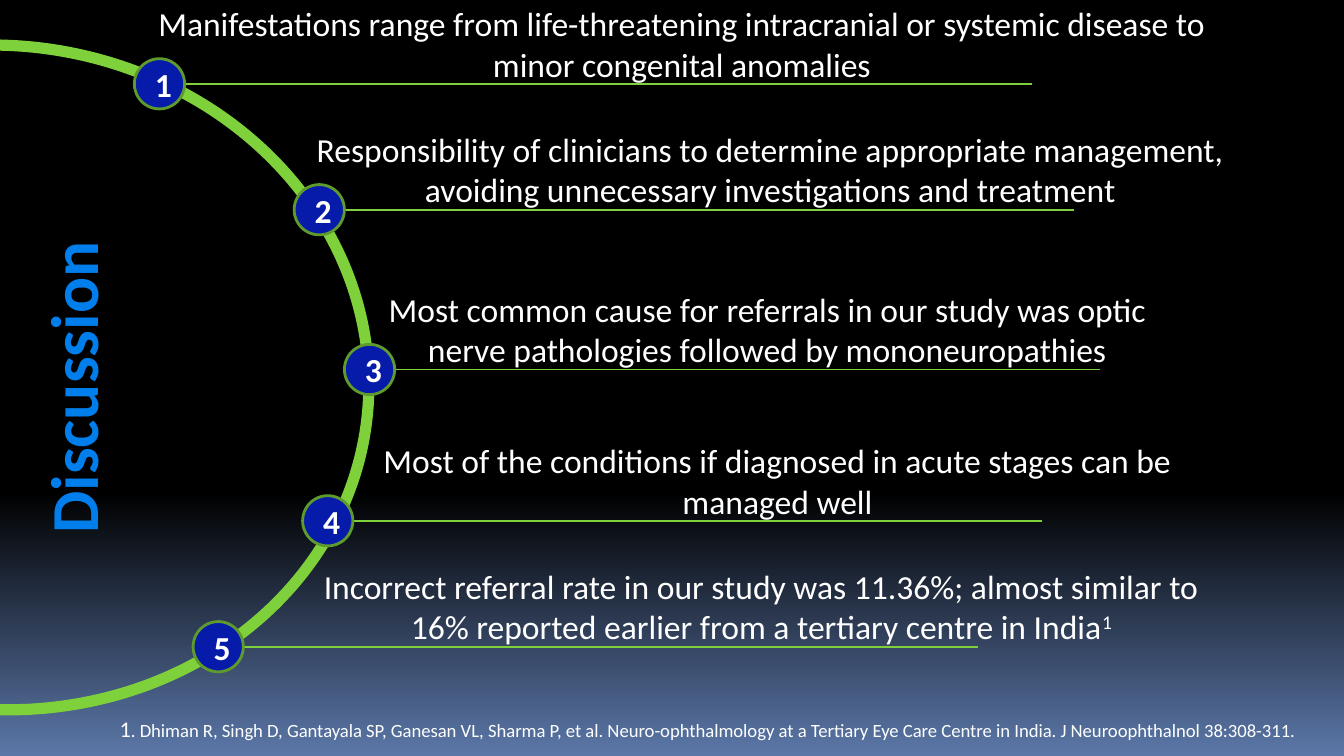
from lxml import etree
from pptx import Presentation
from pptx.dml.color import RGBColor
from pptx.enum.shapes import MSO_CONNECTOR, MSO_SHAPE
from pptx.enum.text import MSO_ANCHOR, PP_ALIGN
from pptx.oxml.ns import qn
from pptx.util import Cm, Pt

LEFT, CENTER = PP_ALIGN.LEFT, PP_ALIGN.CENTER
MIDDLE = MSO_ANCHOR.MIDDLE
ARC, OVAL = MSO_SHAPE.ARC, MSO_SHAPE.OVAL
STRAIGHT = MSO_CONNECTOR.STRAIGHT

FONT = "Calibri"
WHITE, GREEN, DARK_GREEN = "FFFFFF", "7FD13B", "5E9B2C"
BADGE_BLUE, TITLE_BLUE = "071BAB", "007EEB"

# Content: badge left and top, line end, text left and width (cm), text, superscript
POINTS = [
    (2.54, 1.11, 19.5, 2.69, 20.4,
     "Manifestations range from life-threatening intracranial or systemic "
     "disease to minor congenital anomalies", ""),
    (5.56, 3.49, 20.29, 5.11, 18.9,
     "Responsibility of clinicians to determine appropriate management, "
     "avoiding unnecessary investigations and treatment", ""),
    (6.51, 6.51, 20.79, 6.3, 16.41,
     "Most common cause for referrals in our study was optic nerve "
     "pathologies followed by mononeuropathies", ""),
    (5.72, 9.37, 19.7, 6.3, 16.79,
     "Most of the conditions if diagnosed in acute stages can be managed well", ""),
    (3.65, 11.75, 18.49, 5.69, 17.4,
     "Incorrect referral rate in our study was 11.36%; almost similar to 16% "
     "reported earlier from a tertiary centre in India", "1"),
]
REFERENCE = (". Dhiman R, Singh D, Gantayala SP, Ganesan VL, Sharma P, et al. "
             "Neuro-ophthalmology at a Tertiary Eye Care Centre in India. "
             "J Neuroophthalnol 38:308-311.")
BADGE = 0.95
TEXT_RISE = 1.65  # from the line up to the top of its text box
TEXT_HEIGHT = 1.8


def rgb(color):
    return RGBColor.from_string(color)


def add_run(p, text, size=18, color=WHITE, bold=False, superscript=False):
    r = p.add_run()
    r.text = text
    r.font.name, r.font.size, r.font.bold = FONT, Pt(size), bold
    r.font.color.rgb = rgb(color)
    if superscript:
        r.font._element.set("baseline", "30000")


def add_text(left, top, width, height, text, align=LEFT, wrap=True, **fmt):
    sp = s.shapes.add_textbox(Cm(left), Cm(top), Cm(width), Cm(height))
    tf = sp.text_frame
    tf.word_wrap = wrap
    p = tf.paragraphs[0]
    p.alignment = align
    add_run(p, text, **fmt)
    return tf


def add_outlined(kind, left, top, width, height, line, weight):
    sp = s.shapes.add_shape(kind, Cm(left), Cm(top), Cm(width), Cm(height))
    sp.shadow.inherit = False
    sp.line.color.rgb = rgb(line)
    sp.line.width = Pt(weight)
    return sp


def add_line(x1, x2, y):
    line = s.shapes.add_connector(STRAIGHT, Cm(x1), Cm(y), Cm(x2), Cm(y))
    line.line.color.rgb = rgb(GREEN)
    line.line.width = Pt(0.94)
    etree.SubElement(line._element.spPr, qn("a:effectLst"))


prs = Presentation()
prs.slide_width, prs.slide_height = Cm(25.4), Cm(14.29)
s = prs.slides.add_slide(prs.slide_layouts[6])

# Background: black, fading to blue at the bottom
fill = s.background.fill
fill.gradient()
fill.gradient_angle = 270
for stop, (position, color) in zip(fill.gradient_stops, [(0.65, "000000"), (1, "5B77A8")]):
    stop.position = position
    stop.color.rgb = rgb(color)

# Arc
arc = add_outlined(ARC, -6.99, 0.86, 13.97, 12.55, GREEN, 6)
arc.fill.background()
arc.rotation = 6
arc.adjustments[0], arc.adjustments[1] = 158.017, 50.595

# Numbered points
for number, (x, y, line_end, left, width, text, note) in enumerate(POINTS, 1):
    line_y = y + BADGE / 2
    add_line(x + BADGE, line_end, line_y)
    badge = add_outlined(OVAL, x, y, BADGE, BADGE, DARK_GREEN, 1.5)
    badge.fill.solid()
    badge.fill.fore_color.rgb = rgb(BADGE_BLUE)
    tf = badge.text_frame
    tf.vertical_anchor = MIDDLE
    tf.paragraphs[0].alignment = CENTER
    add_run(tf.paragraphs[0], str(number), bold=True)
    tf = add_text(left, line_y - TEXT_RISE, width, TEXT_HEIGHT, text, align=CENTER)
    if note:
        add_run(tf.paragraphs[0], note, superscript=True)

# Reference
tf = add_text(2.01, 13.39, 23.7, 0.76, "1", size=12)
add_run(tf.paragraphs[0], REFERENCE, size=10)

# Vertical title
tf = add_text(0.46, 4.24, 2.06, 6.1, "Discussion", wrap=False,
              size=36, color=TITLE_BLUE, bold=True)
tf._txBody.bodyPr.set("vert", "vert270")

prs.save("out.pptx")
